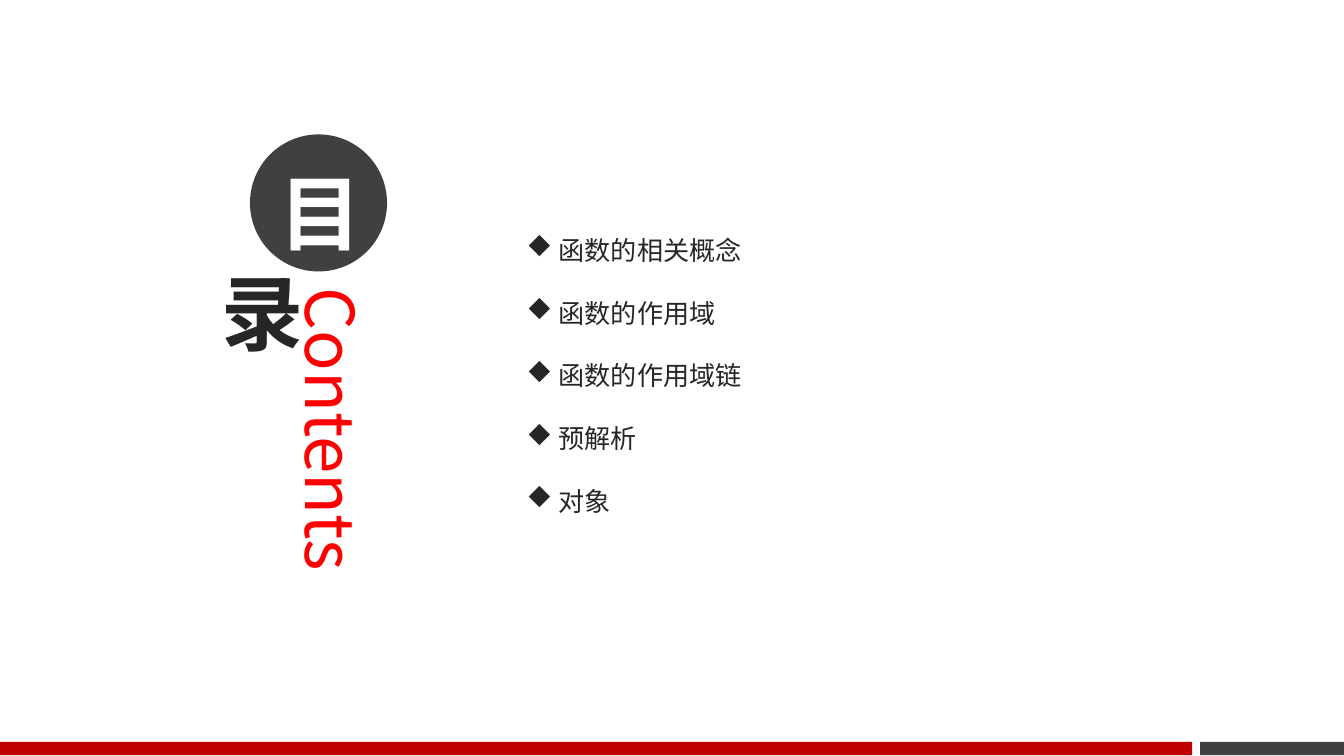
from lxml import etree
from pptx import Presentation
from pptx.dml.color import RGBColor
from pptx.enum import shapes, text
from pptx.oxml import ns
from pptx.util import Inches, Pt

FONT = "Noto Sans CJK SC"
WHITE = RGBColor(0xFF, 0xFF, 0xFF)
GRAY = RGBColor(0x40, 0x40, 0x40)
INK = RGBColor(0x26, 0x26, 0x26)
CRIMSON = RGBColor(0xC0, 0x00, 0x00)
RED = RGBColor(0xFF, 0x00, 0x00)
TOPICS = ["函数的相关概念\u3000", "函数的作用域", "函数的作用域链", "预解析", "对象"]


def add_box(slide, x, y, w, h):
    return slide.shapes.add_textbox(Inches(x), Inches(y), Inches(w), Inches(h))


def add_shape(slide, kind, x, y, w, h, fill=None):
    shape = slide.shapes.add_shape(kind, Inches(x), Inches(y), Inches(w), Inches(h))
    shape.shadow.inherit = False
    shape.line.fill.background()
    if fill is None:
        shape.fill.background()
    else:
        shape.fill.solid()
        shape.fill.fore_color.rgb = fill
    return shape


def set_frame(shape, left=0.07, top=0.04, right=0.07, bottom=0.04, anchor=None):
    frame = shape.text_frame
    frame.word_wrap = True
    frame.margin_left, frame.margin_top = Inches(left), Inches(top)
    frame.margin_right, frame.margin_bottom = Inches(right), Inches(bottom)
    frame.vertical_anchor = anchor
    return frame


def write(para, words, size=14, color=INK, bold=False, align=None, spacing=None):
    para.alignment = align
    para.line_spacing = spacing
    run = para.add_run()
    run.text = words
    font = run.font
    font.size, font.bold, font.name = Pt(size), bold, FONT
    font.color.rgb = color
    # East Asian characters take their own typeface entry
    etree.SubElement(run._r.get_or_add_rPr(), ns.qn("a:ea")).set("typeface", FONT)


def add_bullet(para, color, indent):
    props = para._p.get_or_add_pPr()
    props.set("marL", str(Inches(indent)))
    props.set("indent", str(-Inches(indent)))
    tint = etree.SubElement(props, ns.qn("a:buClr"))
    etree.SubElement(tint, ns.qn("a:srgbClr")).set("val", str(color))
    # The letter u is a diamond in Wingdings
    face = etree.SubElement(props, ns.qn("a:buFont"))
    face.set("typeface", "Wingdings")
    face.set("charset", "2")
    etree.SubElement(props, ns.qn("a:buChar")).set("char", "u")


def add_disc(slide, word, x, y, size, fill, color, bottom=0.04, spacing=None):
    disc = add_shape(slide, shapes.MSO_SHAPE.OVAL, x, y, size, size, fill)
    frame = set_frame(disc, bottom=bottom, anchor=text.MSO_ANCHOR.MIDDLE)
    write(frame.paragraphs[0], word, size=44, color=color, bold=True,
          align=text.PP_ALIGN.CENTER, spacing=spacing)


def add_list(slide, items, x, y, w, h):
    frame = set_frame(add_box(slide, x, y, w, h), 0.1, 0.05, 0.1, 0.05)
    frame.auto_size = text.MSO_AUTO_SIZE.SHAPE_TO_FIT_TEXT
    for i, item in enumerate(items):
        para = frame.paragraphs[0] if i == 0 else frame.add_paragraph()
        write(para, " " + item, spacing=2.0)
        add_bullet(para, INK, 0.19)


def main():
    # Widescreen slide, 16 to 9
    deck = Presentation()
    deck.slide_width = Inches(10)
    deck.slide_height = Inches(10 * 9 / 16)
    slide = deck.slides.add_slide(deck.slide_layouts[6])

    # Footer bars
    for x, w, fill in [(8.93, 1.07, GRAY), (0, 8.87, CRIMSON)]:
        add_shape(slide, shapes.MSO_SHAPE.RECTANGLE, x, 5.52, w, 0.1, fill)

    # Vertical heading
    frame = set_frame(add_box(slide, 2.14, 2.1, 0.7, 2.89))
    frame._txBody.bodyPr.set("vert", "eaVert")
    write(frame.paragraphs[0], "Contents", size=36, color=RED)

    # Title characters
    add_disc(slide, "目", 1.86, 1, 1.02, GRAY, WHITE, bottom=0.15, spacing=Pt(70))
    add_disc(slide, "录", 1.46, 1.92, 0.8, None, INK)

    # Topics
    add_list(slide, TOPICS, 3.82, 1.46, 4.72, 2.46)

    deck.save("out.pptx")


if __name__ == "__main__":
    main()
